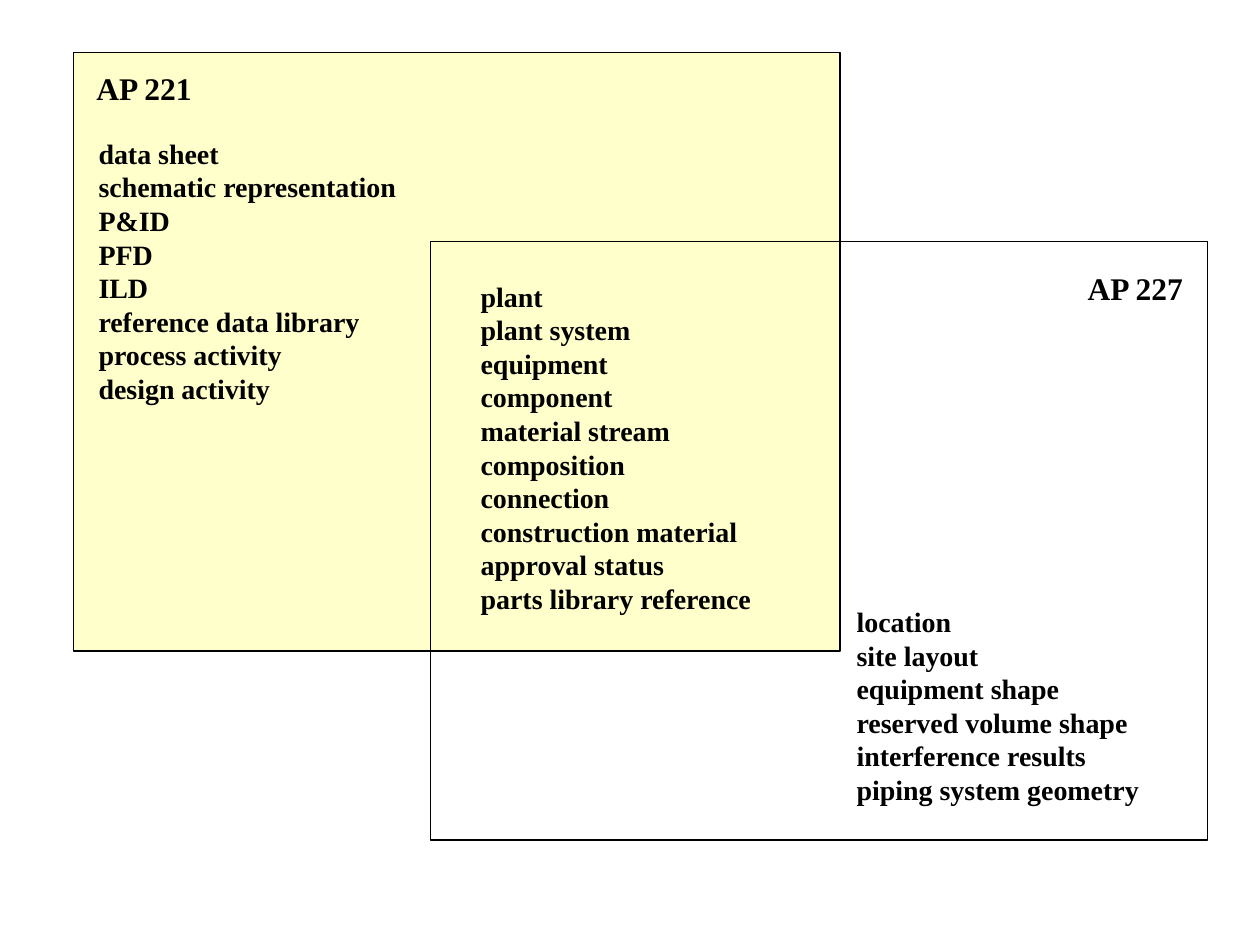
from pptx import Presentation
from pptx.dml.color import RGBColor
from pptx.enum.shapes import MSO_SHAPE as Shape
from pptx.enum.text import MSO_AUTO_SIZE as AutoSize
from pptx.util import Inches, Pt

COLORS = {"ink": "000000", "overlap": "FFFFCC"}
FONT = "Times New Roman"
COLUMNS, ROWS = 120, 90
CELL = Inches(10) / COLUMNS
LABEL_SIZE, LIST_SIZE = 18, 16

AP_221_SCOPE = [
    "data sheet", "schematic representation", "P&ID", "PFD", "ILD",
    "reference data library", "process activity", "design activity",
]
SHARED_SCOPE = [
    "plant", "plant system", "equipment", "component", "material stream",
    "composition", "connection", "construction material",
    "approval status", "parts library reference",
]
AP_227_SCOPE = [
    "location", "site layout", "equipment shape", "reserved volume shape",
    "interference results", "piping system geometry",
]


def cells(*counts):
    """Turn grid counts into slide lengths."""
    return [round(count * CELL) for count in counts]


def color(name):
    """Look up a named colour."""
    return RGBColor.from_string(COLORS[name])


def add_scope_frame(slide, column, row, width, height, fill=None):
    """Draw the outlined area of one application protocol."""
    frame = slide.shapes.add_shape(Shape.RECTANGLE, *cells(column, row, width, height))
    frame.shadow.inherit = False
    frame.line.color.rgb = color("ink")
    frame.line.width = Pt(0.75)
    if fill:
        frame.fill.solid()
        frame.fill.fore_color.rgb = color(fill)
    else:
        frame.fill.background()


def add_terms(slide, column, row, width, terms, size=LIST_SIZE):
    """Write bold terms, one to a paragraph, in a box as tall as its lines."""
    height = Inches(0.1 + len(terms) * size / 60)
    box = slide.shapes.add_textbox(*cells(column, row, width), height)
    frame = box.text_frame
    frame.word_wrap = False
    frame.auto_size = AutoSize.SHAPE_TO_FIT_TEXT
    frame.text = "\n".join(terms)
    for paragraph in frame.paragraphs:
        font = paragraph.font
        font.name, font.size, font.bold = FONT, Pt(size), True
        font.color.rgb = color("ink")


def main():
    """Build the slide with the two overlapping protocol scopes."""
    deck = Presentation()
    deck.slide_width, deck.slide_height = cells(COLUMNS, ROWS)
    slide = deck.slides.add_slide(deck.slide_layouts.get_by_name("Blank"))

    add_scope_frame(slide, 7, 5, 73, 57, fill="overlap")
    add_terms(slide, 8, 6, 11.6, ["AP 221"], LABEL_SIZE)
    add_scope_frame(slide, 41, 23, 74, 57)
    add_terms(slide, 102.4, 25, 11.6, ["AP 227"], LABEL_SIZE)

    add_terms(slide, 44.6, 26, 32.4, SHARED_SCOPE)
    add_terms(slide, 8.2, 12.4, 36.6, AP_221_SCOPE)
    add_terms(slide, 80.4, 57, 34.7, AP_227_SCOPE)
    deck.save("out.pptx")


if __name__ == "__main__":
    main()
